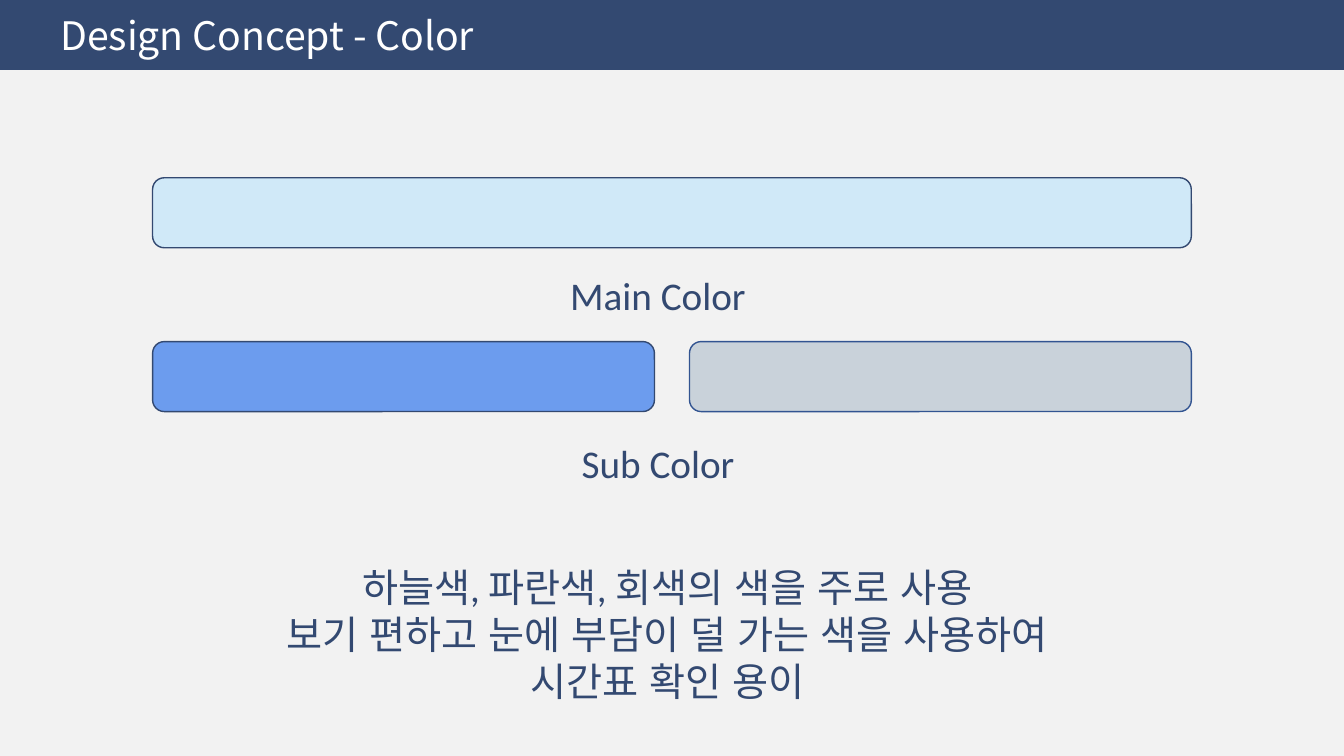
"""Build the colour concept slide with its main and sub colour swatches."""
from pptx import Presentation
from pptx.dml.color import RGBColor
from pptx.enum.lang import MSO_LANGUAGE_ID
from pptx.enum.shapes import MSO_SHAPE
from pptx.enum.text import MSO_ANCHOR, MSO_AUTO_SIZE, PP_ALIGN
from pptx.util import Pt

ROUNDED = MSO_SHAPE.ROUNDED_RECTANGLE
MIDDLE, TOP = MSO_ANCHOR.MIDDLE, MSO_ANCHOR.TOP
LEFT, CENTER = PP_ALIGN.LEFT, PP_ALIGN.CENTER
NO_AUTOFIT = MSO_AUTO_SIZE.NONE
ENGLISH, KOREAN = MSO_LANGUAGE_ID.ENGLISH_US, MSO_LANGUAGE_ID.KOREAN

TITLE = "Design Concept - Color"
PALETTE = [
    ("Main Color", [("D0E9F8", "334971")]),
    ("Sub Color", [("6C9CEE", "334971"), ("C9D2DA", "325491")]),
]
RATIONALE = [
    "하늘색, 파란색, 회색의 색을 주로 사용",
    "보기 편하고 눈에 부담이 덜 가는 색을 사용하여 시간표 확인 용이",
]

THEME = {
    "background": "F2F2F2",
    "navy": "334971",
    "white": "FFFFFF",
    "title_font": "Noto Sans CJK KR",
    "body_font": "Calibri",
    "size": 28,
    "border": 1,
}

SLIDE_WIDTH, SLIDE_HEIGHT = 960, 540
BAR_HEIGHT = 50
TITLE_INDENT = 43
SWATCH_LEFT, SWATCH_WIDTH, SWATCH_GAP = 109, 742, 25
SWATCH_TOPS = (127, 244)
LABEL_TOPS = (190, 310.3)
LABEL_LEFT, LABEL_WIDTH, LABEL_HEIGHT = 340, 260, 41
RATIONALE_BOX = (176.6, 398.9, 600, 75)


def color(code):
    return RGBColor.from_string(code)


def apply(target, formats):
    for name, value in formats.items():
        setattr(target, name, value)


def write(shape, lines, font, ink, align, language, frame_formats):
    frame = shape.text_frame
    apply(frame, {"word_wrap": True, "auto_size": NO_AUTOFIT, **frame_formats})
    frame.text = "\n".join(lines)
    for paragraph in frame.paragraphs:
        paragraph.alignment = align
        for run in paragraph.runs:
            apply(run.font, {"name": font, "size": Pt(THEME["size"]),
                             "language_id": language})
            run.font.color.rgb = color(ink)


def add_text(slide, box, lines, language):
    textbox = slide.shapes.add_textbox(*map(Pt, box))
    write(textbox, lines, THEME["body_font"], THEME["navy"], CENTER, language,
          {"vertical_anchor": TOP})


def add_swatch(slide, box, fill, border):
    swatch = slide.shapes.add_shape(ROUNDED, *map(Pt, box))
    swatch.shadow.inherit = False
    swatch.fill.solid()
    swatch.fill.fore_color.rgb = color(fill)
    swatch.line.color.rgb = color(border)
    swatch.line.width = Pt(THEME["border"])


def add_title(slide):
    title = slide.shapes.title
    apply(title, {"left": Pt(0), "top": Pt(0),
                  "width": Pt(SLIDE_WIDTH), "height": Pt(BAR_HEIGHT)})
    title.fill.solid()
    title.fill.fore_color.rgb = color(THEME["navy"])
    write(title, [TITLE], THEME["title_font"], THEME["white"], LEFT, ENGLISH,
          {"vertical_anchor": MIDDLE, "margin_left": Pt(TITLE_INDENT)})


def main():
    deck = Presentation()
    apply(deck, {"slide_width": Pt(SLIDE_WIDTH), "slide_height": Pt(SLIDE_HEIGHT)})
    slide = deck.slides.add_slide(deck.slide_layouts.get_by_name("Title Only"))
    slide.background.fill.solid()
    slide.background.fill.fore_color.rgb = color(THEME["background"])
    add_title(slide)

    for (label, swatches), top, label_top in zip(PALETTE, SWATCH_TOPS, LABEL_TOPS):
        count = len(swatches)
        width = (SWATCH_WIDTH - SWATCH_GAP * (count - 1)) / count
        for column, (fill, border) in enumerate(swatches):
            left = SWATCH_LEFT + column * (width + SWATCH_GAP)
            add_swatch(slide, (left, top, width, BAR_HEIGHT), fill, border)
        label_box = (LABEL_LEFT, label_top, LABEL_WIDTH, LABEL_HEIGHT)
        add_text(slide, label_box, [label], ENGLISH)

    add_text(slide, RATIONALE_BOX, RATIONALE, KOREAN)
    deck.save("out.pptx")


if __name__ == "__main__":
    main()
